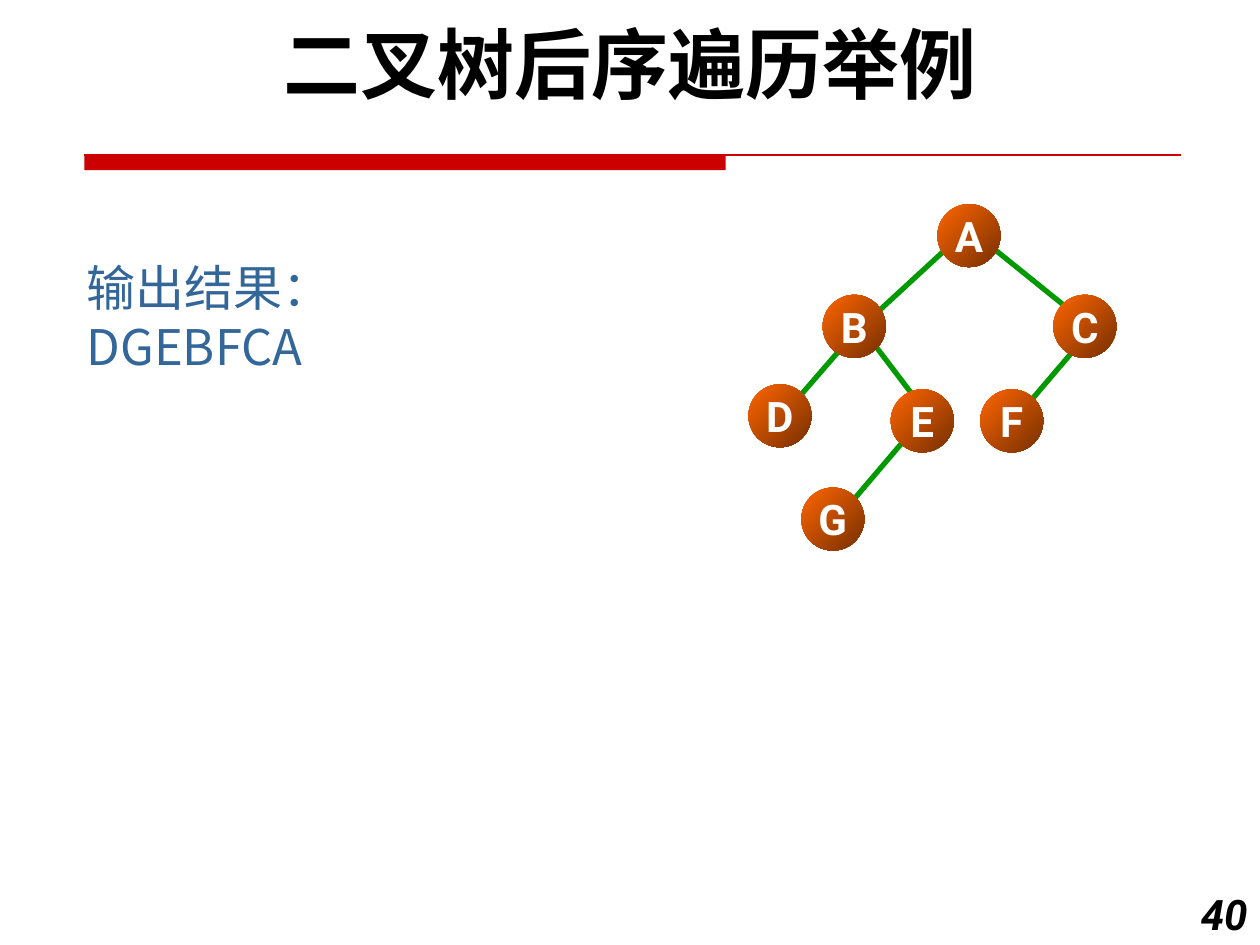
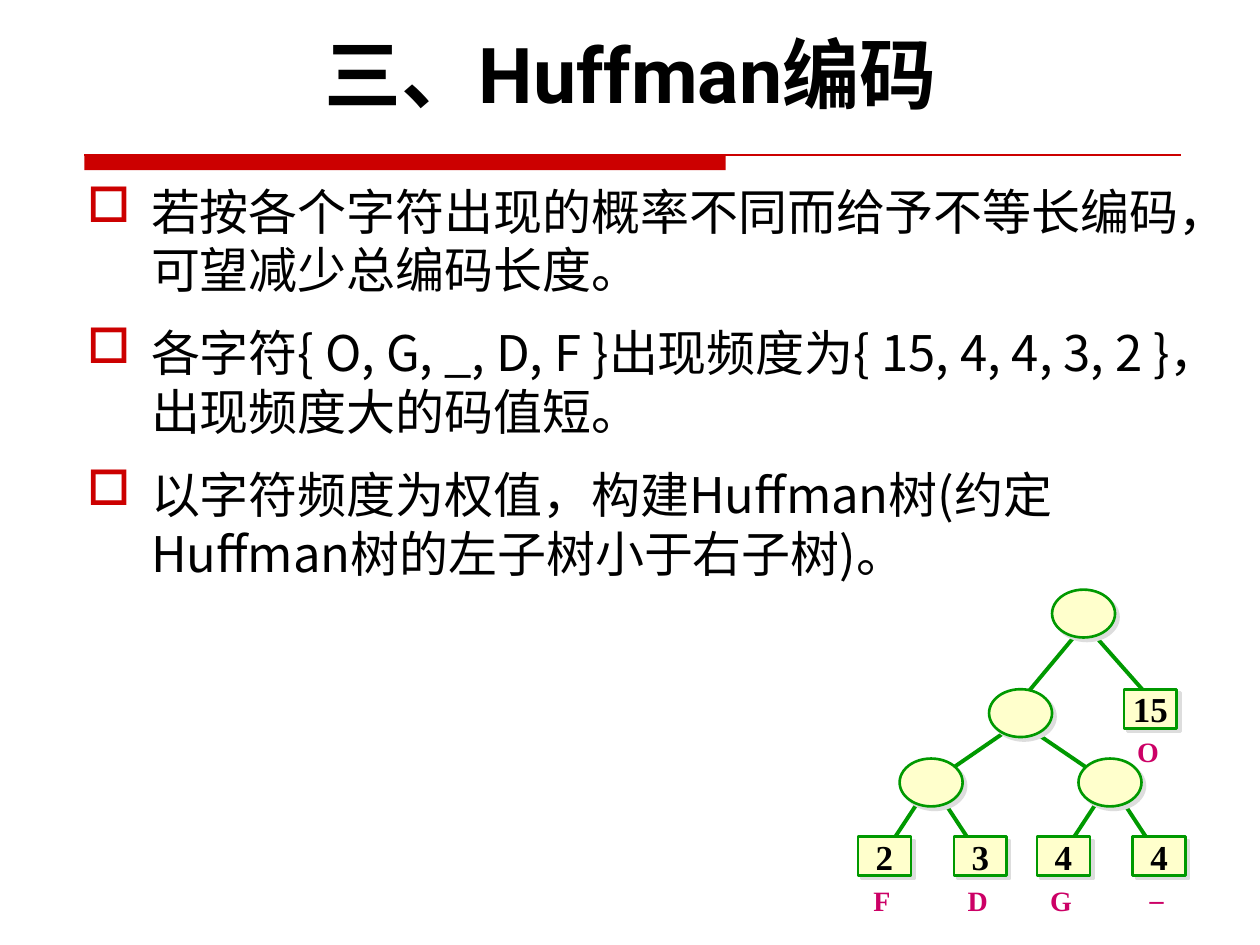
"""Build two slides on binary trees: postorder traversal and Huffman coding."""
import pptx
import pptx.dml.color
import pptx.enum.shapes
import pptx.enum.text
import pptx.oxml
import pptx.oxml.ns
import pptx.util
from lxml import etree

Inches = pptx.util.Inches
Pt = pptx.util.Pt
KIND = pptx.enum.shapes.MSO_SHAPE
WIRE = pptx.enum.shapes.MSO_CONNECTOR.STRAIGHT
ALIGN = pptx.enum.text.PP_ALIGN
MID = pptx.enum.text.MSO_ANCHOR.MIDDLE
qn = pptx.oxml.ns.qn

RED, GREEN, CREAM = "CC0000", "009900", "FFFFCC"
HAN = "Noto Sans CJK SC"
HEAD = {"name": "Roboto", "size": Pt(44), "bold": True, "color": "000000"}
PAGE = {"name": "Roboto", "size": Pt(24), "bold": True, "italic": True, "color": "000000"}
NODE = {"name": "Roboto", "size": Pt(24), "bold": True, "color": "FFFFFF"}
BODY = {"name": HAN, "size": Pt(28), "color": "000000"}
NOTE = {**BODY, "color": "336699"}
COUNT = {"name": "Times New Roman", "size": Pt(20), "bold": True, "color": "000000"}
MARK = {**COUNT, "size": Pt(16), "color": "CC0066"}
SHADE = ('<a:outerShdw xmlns:a="http://schemas.openxmlformats.org/drawingml/2006/main" '
         'dist="35921" dir="2700000" algn="ctr" rotWithShape="0">'
         '<a:srgbClr val="DDDDDD"/></a:outerShdw>')


def hue(code):
    """Turn a hex string into a colour."""
    return pptx.dml.color.RGBColor.from_string(code)


def write(shape, lines, form, align=ALIGN.LEFT, wrap=True):
    """Fill a shape with paragraphs in one format."""
    frame = shape.text_frame
    frame.word_wrap = wrap
    for n, line in enumerate(lines):
        para = frame.paragraphs[0] if n == 0 else frame.add_paragraph()
        para.alignment = align
        run = para.add_run()
        run.text = line
        for key, value in form.items():
            if key == "color":
                run.font.color.rgb = hue(value)
            else:
                setattr(run.font, key, value)
        etree.SubElement(run.font._element, qn("a:ea"), typeface=HAN)
    return frame


deck = pptx.Presentation()
deck.slide_width, deck.slide_height = Inches(10), Inches(7.5)

heads = [("二叉树后序遍历举例", 0.08), ("三、Huffman编码", 0.16)]
slides = []
for head, top in heads:
    slide = deck.slides.add_slide(deck.slide_layouts[6])
    slides.append(slide)
    band = slide.shapes.add_shape(KIND.RECTANGLE, Inches(0.67), Inches(1.23), Inches(5.09), Inches(0.12))
    band.shadow.inherit = False
    band.fill.solid()
    band.fill.fore_color.rgb = hue(RED)
    band.line.fill.background()
    box = slide.shapes.add_textbox(Inches(0.38), Inches(top), Inches(9.25), Inches(0.84))
    write(box, [head], HEAD, ALIGN.CENTER)
walk, code = slides

rule = (0.67, 1.23, 9.37, 1.23)
limbs = [(7.82, 1.92, 8.44, 2.42), (7.57, 1.92, 6.94, 2.5), (6.82, 2.6, 6.36, 3.13),
         (6.86, 2.63, 7.24, 3.13), (8.65, 2.63, 8.19, 3.17), (7.24, 3.42, 6.78, 3.96)]
twigs = [(8.72, 5.08, 9.18, 5.6), (8.57, 5, 8.17, 5.48),
         (8.18, 5.79, 8.65, 6.11), (8.02, 5.78, 7.54, 6.11)]
forks = (7.14, 8.56)
for x in forks:
    twigs += [(x + 0.33, 6.33, x + 0.58, 6.71), (x + 0.17, 6.33, x - 0.08, 6.71)]

for slide, ends, tint, width in [(walk, [rule], RED, 0.75), (code, [rule], RED, 0.75),
                                 (walk, limbs, GREEN, 3), (code, twigs, GREEN, 2.25)]:
    for end in ends:
        wire = slide.shapes.add_connector(WIRE, *map(Inches, end))
        wire.line.color.rgb = hue(tint)
        wire.line.width = Pt(width)
        etree.SubElement(wire._element.spPr, qn("a:effectLst"))

nodes = {"A": (7.44, 1.62), "B": (6.53, 2.34), "C": (8.36, 2.34), "D": (5.94, 3.05),
         "E": (7.07, 3.09), "F": (7.78, 3.09), "G": (6.36, 3.87)}
for name, (x, y) in nodes.items():
    ball = walk.shapes.add_shape(KIND.OVAL, Inches(x), Inches(y), Inches(0.5), Inches(0.5))
    ball.shadow.inherit = False
    ball.line.fill.background()
    ball.fill.gradient()
    ball.fill.gradient_angle = 315
    for stop, tint in zip(ball.fill.gradient_stops, ("FF6600", "762F00")):
        stop.color.rgb = hue(tint)
    frame = write(ball, [name], NODE, ALIGN.CENTER, False)
    frame.vertical_anchor = MID
    frame.margin_left = frame.margin_right = 0

box = walk.shapes.add_textbox(Inches(0.59), Inches(2), Inches(3.56), Inches(1.03))
write(box, ["输出结果：DGEBFCA"], NOTE).paragraphs[0].line_spacing = Pt(33.5)
box = walk.shapes.add_textbox(Inches(9.33), Inches(7), Inches(0.67), Inches(0.5))
write(box, ["40"], PAGE, ALIGN.RIGHT)

points = ["若按各个字符出现的概率不同而给予不等长编码，可望减少总编码长度。",
          "各字符{ O, G, _, D, F }出现频度为{ 15, 4, 4, 3, 2 }，出现频度大的码值短。",
          "以字符频度为权值，构建Huffman树(约定Huffman树的左子树小于右子树)。"]
box = code.shapes.add_textbox(Inches(0.59), Inches(1.39), Inches(9.25), Inches(4.5))
for n, para in enumerate(write(box, points, BODY).paragraphs):
    para.line_spacing = Pt(33.5)
    if n:
        para.space_before = Pt(14)
    props = para._p.get_or_add_pPr()
    props.set("marL", str(Inches(0.51)))
    props.set("indent", str(-Inches(0.51)))
    tint = etree.SubElement(props, qn("a:buClr"))
    etree.SubElement(tint, qn("a:srgbClr"), val=RED)
    etree.SubElement(props, qn("a:buChar"), char="□")

parts = [(KIND.OVAL, x, y, 0.5, 0.38, "") for x, y in
         [(8.35, 4.68), (7.85, 5.47), *((x, 6.02) for x in forks)]]
leaves = [("15", "O", 8.92, 5.47, 5.78)]
for x, left, right in zip(forks, (("2", "F", 6.96), ("4", "G", 6.96)),
                          (("3", "D", 6.96), ("4", "_", 6.87))):
    for (count, mark, low), step in ((left, -0.33), (right, 0.43)):
        leaves.append((count, mark, x + step, 6.64, low))
parts += [(KIND.RECTANGLE, x, y, 0.42, 0.31, count) for count, mark, x, y, low in leaves]

for kind, x, y, width, height, count in parts:
    cell = code.shapes.add_shape(kind, Inches(x), Inches(y), Inches(width), Inches(height))
    cell.shadow.inherit = False
    cell._element.spPr.find(qn("a:effectLst")).append(pptx.oxml.parse_xml(SHADE))
    cell.fill.solid()
    cell.fill.fore_color.rgb = hue(CREAM)
    cell.line.color.rgb = hue(GREEN)
    cell.line.width = Pt(1.5)
    if count:
        frame = write(cell, [count], COUNT, ALIGN.CENTER, False)
        frame.vertical_anchor = MID
        for side in ("left", "top", "right", "bottom"):
            setattr(frame, "margin_" + side, 0)

for count, mark, x, y, low in leaves:
    tag = code.shapes.add_textbox(Inches(x), Inches(low), Inches(0.38), Inches(0.37))
    write(tag, [mark], MARK, ALIGN.CENTER, False).vertical_anchor = MID

deck.save("out.pptx")
